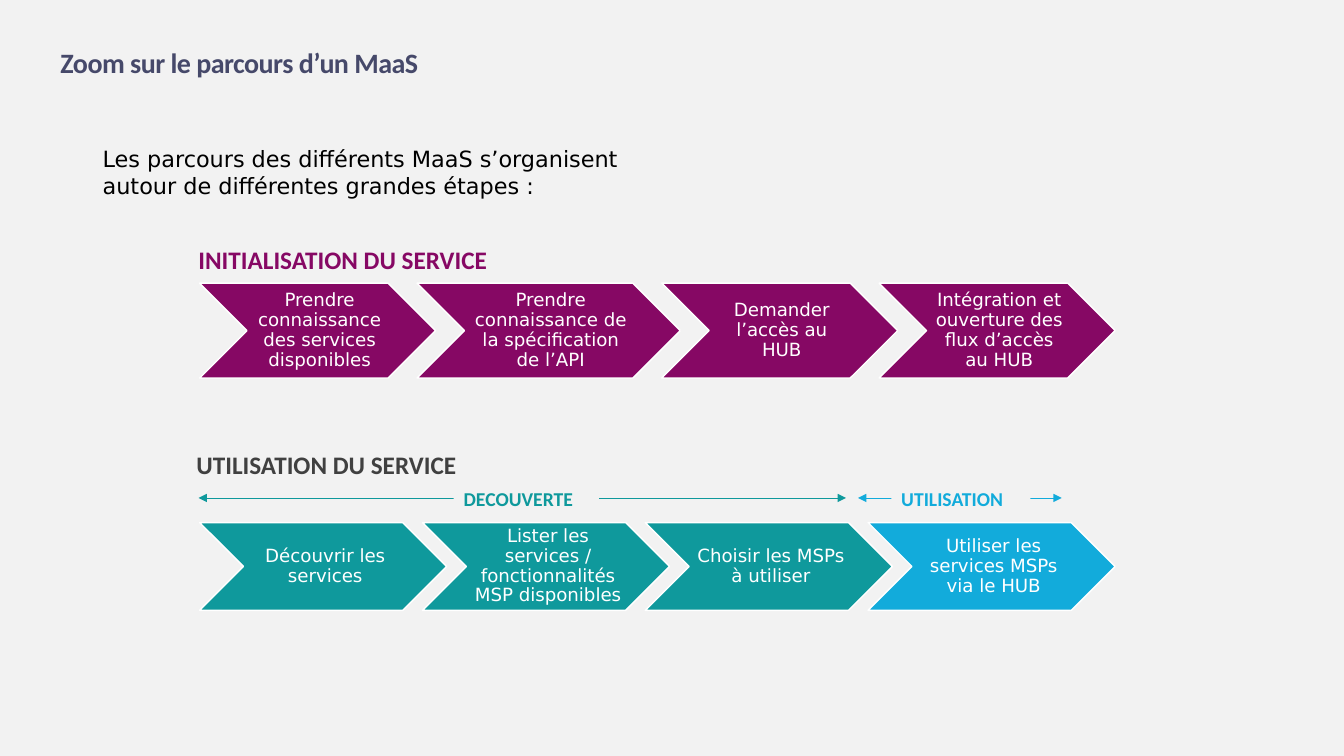
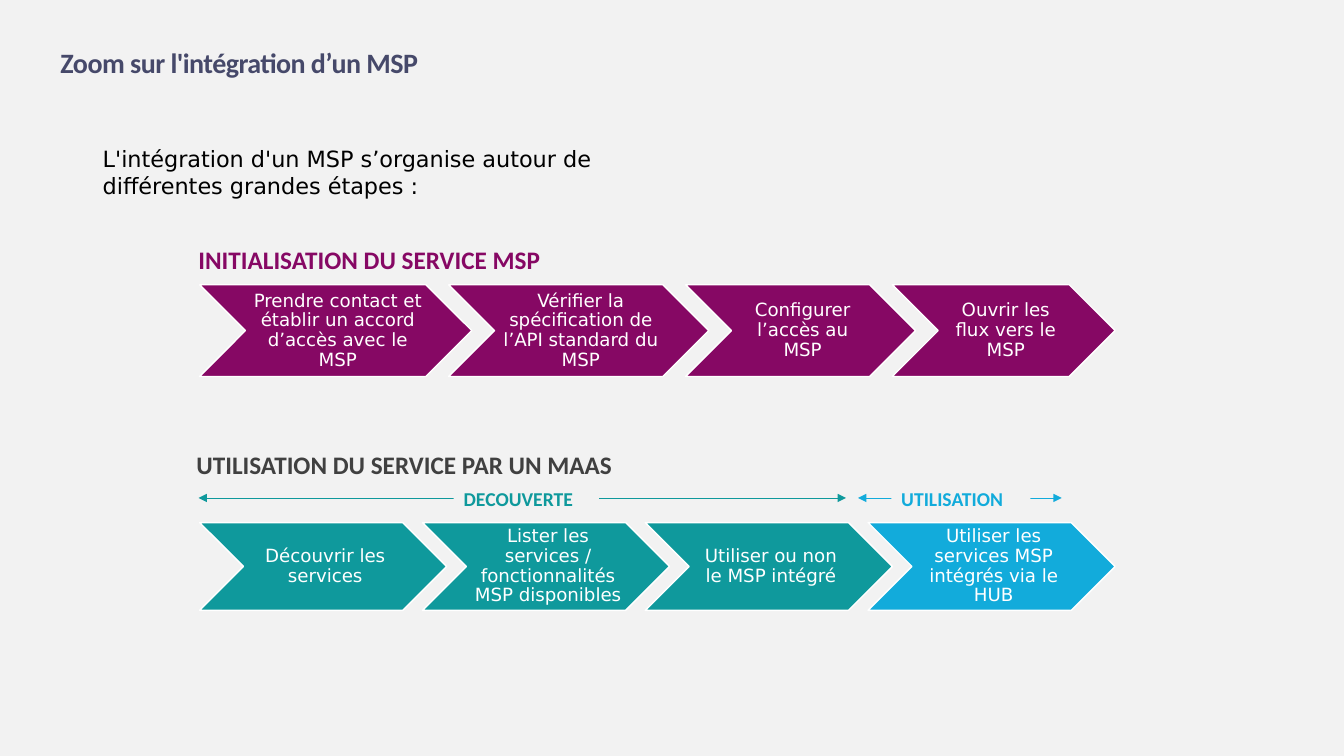
"""Build two slides that show the main steps of a MaaS and of an MSP."""
from dataclasses import dataclass

from lxml import etree
from pptx import Presentation
from pptx.dml.color import RGBColor
from pptx.enum import shapes, text
from pptx.oxml import ns
from pptx.util import Inches, Pt


@dataclass(frozen=True)
class Theme:
    background: str = "F2F2F2"
    title: str = "46496A"
    intro: str = "000000"
    setup: str = "860864"
    usage: str = "404040"
    discovery: str = "0F999C"
    use: str = "12ABDB"
    light: str = "FFFFFF"
    heading_font: str = "Calibri"
    body_font: str = "DejaVu Sans"
    title_size: float = 20
    heading_size: float = 18
    intro_size: float = 16
    phase_size: float = 14
    step_size: float = 13


THEME = Theme()

ROW_LEFT, ROW_RIGHT = 1.98, 11.06
SETUP_CENTER, USAGE_CENTER = 3.28, 5.62
USAGE_WIDTH, USAGE_HEIGHT = 2.45, 0.87
PHASE_Y = 4.94
PHASE_HEIGHT = 0.34

PHASES = [
    ("DECOUVERTE", THEME.discovery, (1.97, 8.39), (4.5, 1.44)),
    ("UTILISATION", THEME.use, (8.51, 10.53), (8.84, 1.38)),
]

JOURNEYS = [
    {
        "title": "Zoom sur le parcours d’un MaaS",
        "intro": "Les parcours des différents MaaS s’organisent autour de différentes grandes étapes :",
        "setup": "INITIALISATION DU SERVICE",
        "setup_height": 0.94,
        "setup_steps": [
            ("Prendre connaissance des services disponibles", 2.34),
            ("Prendre connaissance de la spécification de l’API", 2.61),
            ("Demander l’accès au HUB", 2.34),
            ("Intégration et ouverture des flux d’accès au HUB", 2.34),
        ],
        "usage": "UTILISATION DU SERVICE",
        "usage_steps": [
            "Découvrir les services",
            "Lister les services / fonctionnalités MSP disponibles",
            "Choisir les MSPs à utiliser",
            "Utiliser les services MSPs via le HUB",
        ],
    },
    {
        "title": "Zoom sur l'intégration d’un MSP",
        "intro": "L'intégration d'un MSP s’organise autour de différentes grandes étapes :",
        "setup": "INITIALISATION DU SERVICE MSP",
        "setup_height": 0.91,
        "setup_steps": [
            ("Prendre contact et établir un accord d’accès avec le MSP", 2.7),
            ("Vérifier la spécification de l’API standard du MSP", 2.58),
            ("Configurer l’accès au MSP", 2.28),
            ("Ouvrir les flux vers le MSP", 2.21),
        ],
        "usage": "UTILISATION DU SERVICE PAR UN MAAS",
        "usage_steps": [
            "Découvrir les services",
            "Lister les services / fonctionnalités MSP disponibles",
            "Utiliser ou non le MSP intégré",
            "Utiliser les services MSP intégrés via le HUB",
        ],
    },
]


def rgb(color):
    return RGBColor.from_string(color)


def write(shape, words, font, size, color, bold=False, align=text.PP_ALIGN.LEFT,
          anchor=text.MSO_ANCHOR.TOP, insets=(0.1, 0.05, 0.1, 0.05)):
    frame = shape.text_frame
    frame.text = words
    frame.word_wrap = True
    frame.auto_size = text.MSO_AUTO_SIZE.NONE
    frame.vertical_anchor = anchor
    frame.margin_left, frame.margin_top, frame.margin_right, frame.margin_bottom = map(Inches, insets)
    paragraph = frame.paragraphs[0]
    paragraph.alignment = align
    run = paragraph.runs[0]
    run.font.name = font
    run.font.size = Pt(size)
    run.font.bold = bold
    run.font.color.rgb = rgb(color)
    return paragraph


def add_words(slide, words, box, *style, **options):
    write(slide.shapes.add_textbox(*map(Inches, box)), words, *style, **options)


def add_filled(slide, preset, box, fill):
    shape = slide.shapes.add_shape(preset, *map(Inches, box))
    shape.shadow.inherit = False
    shape.fill.solid()
    shape.fill.fore_color.rgb = rgb(fill)
    shape.line.fill.background()
    return shape


def add_title(slide, words):
    title = slide.shapes.title
    title.left, title.top, title.width, title.height = map(Inches, (0.6, 0.25, 9.77, 0.99))
    paragraph = write(title, words, THEME.heading_font, THEME.title_size, THEME.title,
                      bold=True, insets=(0, 0.2, 0, 0))
    paragraph.runs[0].font._element.set("spc", "-40")


def add_steps(slide, steps, center, height):
    widths = [width for _, width, _ in steps]
    overlap = (sum(widths) - (ROW_RIGHT - ROW_LEFT)) / (len(steps) - 1)
    left = ROW_LEFT
    for words, width, color in steps:
        step = add_filled(slide, shapes.MSO_SHAPE.CHEVRON,
                          (left, center - height / 2, width, height), color)
        step.line.color.rgb = rgb(THEME.light)
        step.line.width = Pt(1)
        paragraph = write(step, words, THEME.body_font, THEME.step_size, THEME.light,
                          align=text.PP_ALIGN.CENTER, anchor=text.MSO_ANCHOR.MIDDLE,
                          insets=(0.06, 0.02, 0.02, 0.02))
        paragraph.line_spacing = 0.9
        left += width - overlap


def add_phase(slide, words, color, span, label):
    start, end = map(Inches, span)
    y = Inches(PHASE_Y)
    arrow = slide.shapes.add_connector(shapes.MSO_CONNECTOR.STRAIGHT, start, y, end, y)
    arrow.line.color.rgb = rgb(color)
    arrow.line.width = Pt(0.5)
    outline = arrow.line._get_or_add_ln()
    for tip in ("a:headEnd", "a:tailEnd"):
        etree.SubElement(outline, ns.qn(tip), type="triangle")
    etree.SubElement(arrow._element.spPr, ns.qn("a:effectLst"))
    left, width = label
    name = add_filled(slide, shapes.MSO_SHAPE.RECTANGLE,
                      (left, 4.78, width, PHASE_HEIGHT), THEME.background)
    write(name, words, THEME.heading_font, THEME.phase_size, color, bold=True)


def add_journey(deck, journey):
    slide = deck.slides.add_slide(deck.slide_layouts.get_by_name("Title Only"))
    add_title(slide, journey["title"])
    add_words(slide, journey["intro"], (0.92, 1.39, 5.41, 0.64),
              THEME.body_font, THEME.intro_size, THEME.intro)
    for words, left, top, color in ((journey["setup"], 1.87, 2.37, THEME.setup),
                                    (journey["usage"], 1.85, 4.41, THEME.usage)):
        add_words(slide, words, (left, top, 4.8, 0.4),
                  THEME.heading_font, THEME.heading_size, color, bold=True)
    setup = [(words, width, THEME.setup) for words, width in journey["setup_steps"]]
    add_steps(slide, setup, SETUP_CENTER, journey["setup_height"])
    colors = [THEME.discovery] * 3 + [THEME.use]
    usage = [(words, USAGE_WIDTH, color) for words, color in zip(journey["usage_steps"], colors)]
    add_steps(slide, usage, USAGE_CENTER, USAGE_HEIGHT)
    for phase in PHASES:
        add_phase(slide, *phase)


def main():
    deck = Presentation()
    deck.slide_width, deck.slide_height = Inches(13.33), Inches(7.5)
    backdrop = deck.slide_master.background.fill
    backdrop.solid()
    backdrop.fore_color.rgb = rgb(THEME.background)
    for journey in JOURNEYS:
        add_journey(deck, journey)
    deck.save("out.pptx")


if __name__ == "__main__":
    main()
